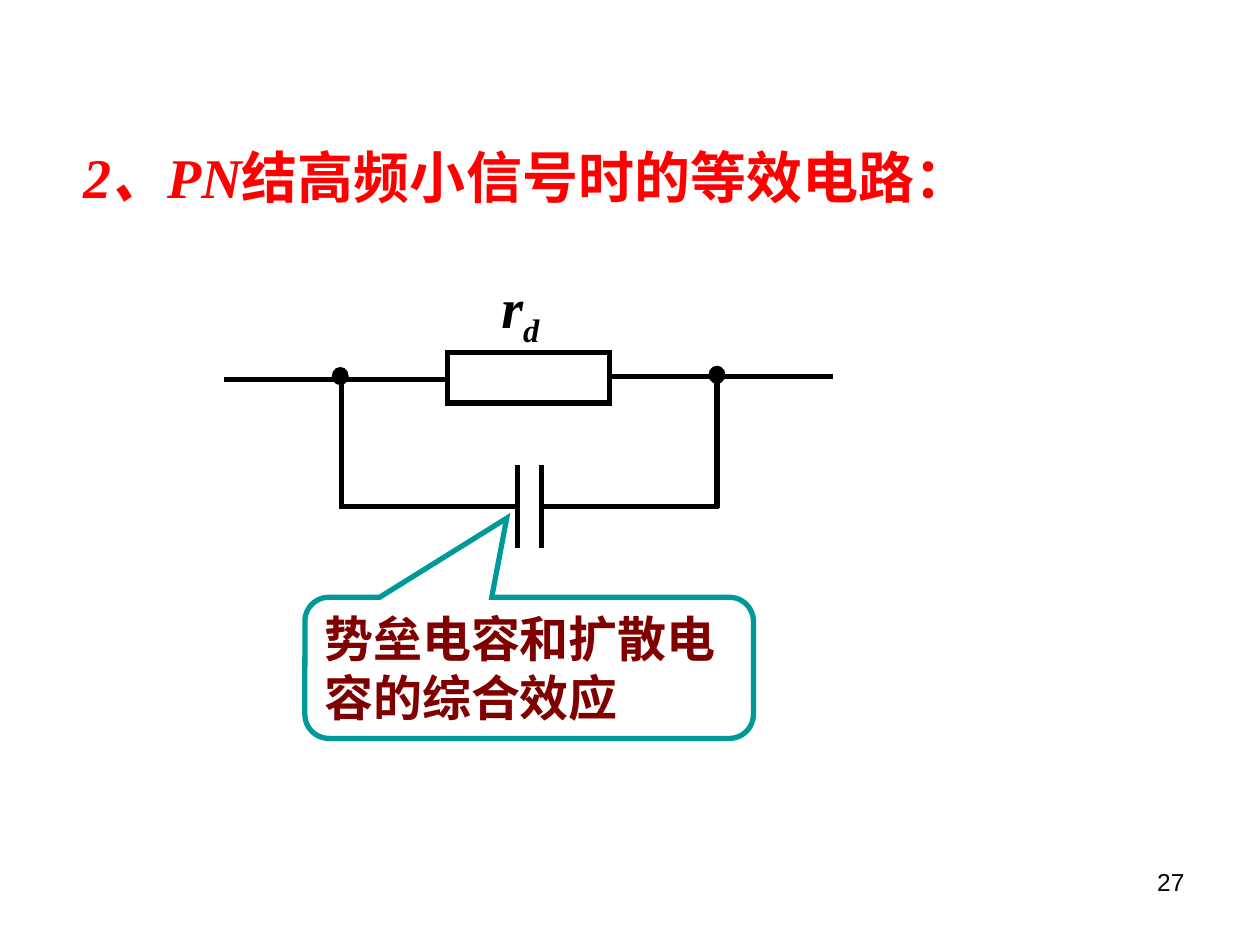
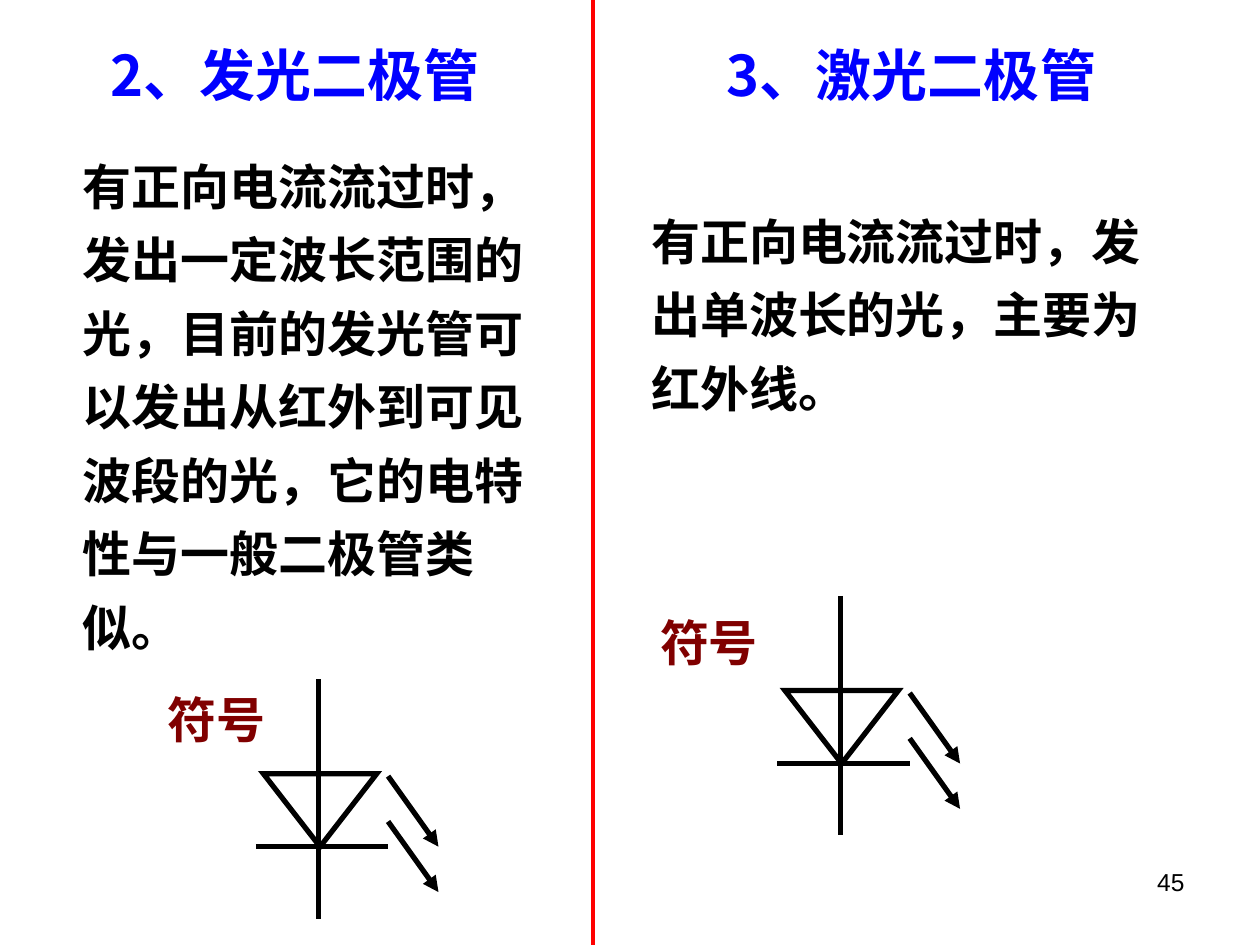
from lxml import etree
from pptx import Presentation
from pptx.dml.color import RGBColor
from pptx.enum import shapes as kinds, text as txt
from pptx.oxml.ns import qn
from pptx.util import Inches, Pt

SERIF, SANS, CJK = "Times New Roman", "Arial", "Noto Sans CJK SC"
BLACK, RED, BLUE, MAROON, TEAL = "000000", "FF0000", "0000FF", "800000", "009999"
LEFT, CENTER, RIGHT = txt.PP_ALIGN.LEFT, txt.PP_ALIGN.CENTER, txt.PP_ALIGN.RIGHT
TOP, MIDDLE = txt.MSO_ANCHOR.TOP, txt.MSO_ANCHOR.MIDDLE

CIRCUIT_TITLE = ["2、PN", "结高频小信号时的等效电路："]
CAPACITANCE_NOTE = "势垒电容和扩散电容的综合效应"
RESISTOR = (3.55, 2.8, 1.29, 0.4)
PLATES = (4.11, 4.3)
WIRES = [
    (4.84, 2.99, 6.61, 2.99), (1.78, 3.01, 3.55, 3.01),
    (2.71, 3.01, 2.71, 4.03), (5.69, 3.01, 5.69, 4.03),
    (2.69, 4.02, PLATES[0], 4.02), (PLATES[1], 4.02, 5.71, 4.02),
]
JUNCTIONS = [(2.64, 2.92), (5.63, 2.91)]

DIODES = [
    {"heading": "2、发光二极管", "heading_box": (0.06, 0.24, 4.57, 0.7),
     "body": "有正向电流流过时，发出一定波长范围的光，目前的发光管可以发出从红外到"
             "可见波段的光，它的电特性与一般二极管类似。",
     "body_box": (0.56, 1.07, 3.71, 4.19),
     "label_box": (1.23, 5.42, 1.11, 0.57), "symbol_at": (2.03, 5.39)},
    {"heading": "3、激光二极管", "heading_box": (4.95, 0.24, 4.57, 0.7),
     "body": "有正向电流流过时，发出单波长的光，主要为红外线。",
     "body_box": (5.07, 1.51, 4.41, 1.85),
     "label_box": (5.14, 4.81, 1.11, 0.57), "symbol_at": (6.17, 4.73)},
]


def color(hex_code):
    return RGBColor.from_string(hex_code)


def inches(box):
    return [Inches(value) for value in box]


def write(holder, pieces, size, hex_code, font=SERIF, bold=True,
          align=LEFT, anchor=TOP, spacing=1.0):
    """Fill a shape with one paragraph made of the given runs; return the runs."""
    frame = holder.text_frame
    frame.word_wrap = True
    frame.auto_size = txt.MSO_AUTO_SIZE.NONE
    frame.vertical_anchor = anchor
    paragraph = frame.paragraphs[0]
    paragraph.alignment = align
    paragraph.line_spacing = spacing
    paragraph._p.get_or_add_pPr().set("hangingPunct", "0")
    for piece in pieces:
        run = paragraph.add_run()
        run.text = piece
        run.font.size = Pt(size)
        run.font.bold = bold
        run.font.name = font
        run.font.color.rgb = color(hex_code)
        east_asian = etree.SubElement(run.font._element, qn("a:ea"))
        east_asian.set("typeface", CJK)
    return paragraph.runs


def add_text(parent, box, pieces, size, hex_code, **style):
    return write(parent.add_textbox(*inches(box)), pieces, size, hex_code, **style)


def add_title(slide, box, pieces, hex_code, **style):
    title = slide.shapes.title
    title.left, title.top, title.width, title.height = inches(box)
    return write(title, pieces, 32, hex_code, **style)


def add_outline(parent, kind, box, hex_code=BLACK, width=3):
    """Add an unfilled shape with sharp corners."""
    shape = parent.add_shape(kind, *inches(box))
    shape.shadow.inherit = False
    shape.fill.background()
    shape.line.color.rgb = color(hex_code)
    shape.line.width = Pt(width)
    etree.SubElement(shape.line._get_or_add_ln(), qn("a:miter")).set("lim", "800000")
    return shape


def add_line(parent, ends, hex_code=BLACK, width=3, arrow=False):
    line = parent.add_connector(kinds.MSO_CONNECTOR.STRAIGHT, *inches(ends))
    line.line.color.rgb = color(hex_code)
    line.line.width = Pt(width)
    if arrow:
        etree.SubElement(line.line._get_or_add_ln(), qn("a:tailEnd")).set("type", "triangle")
    etree.SubElement(line._element.spPr, qn("a:effectLst"))


def add_diode_symbol(slide, x, y):
    symbol = slide.shapes.add_group_shape().shapes
    add_line(symbol, (x, y + 1.33, x + 1.05, y + 1.33))
    triangle = add_outline(symbol, kinds.MSO_SHAPE.ISOSCELES_TRIANGLE,
                           (x + 0.06, y + 0.75, 0.9, 0.58))
    triangle.rotation = 180
    add_line(symbol, (x + 0.5, y, x + 0.5, y + 1.9))
    for ray_top in (y + 0.77, y + 1.13):
        add_line(symbol, (x + 1.05, ray_top, x + 1.45, ray_top + 0.56), arrow=True)


def new_slide(deck, number):
    slide = deck.slides.add_slide(deck.slide_layouts[5])
    add_text(slide.shapes, (7.17, 6.83, 2.33, 0.52), [number], 14, BLACK,
             font=SANS, bold=False, align=RIGHT)
    return slide


def build_circuit_slide(deck):
    slide = new_slide(deck, "27")
    title_start, _ = add_title(slide, (0.56, 1.08, 7.58, 0.64), CIRCUIT_TITLE, RED)
    title_start.font.italic = True

    note = add_outline(slide.shapes, kinds.MSO_SHAPE.ROUNDED_RECTANGULAR_CALLOUT,
                       (2.42, 4.74, 3.56, 1.12), TEAL)
    for index, value in enumerate((-0.05, -1.06, 0.17)):
        note.adjustments[index] = value
    write(note, [CAPACITANCE_NOTE], 28, MAROON, anchor=MIDDLE)

    circuit = slide.shapes.add_group_shape().shapes
    add_outline(circuit, kinds.MSO_SHAPE.RECTANGLE, RESISTOR)
    for wire in WIRES:
        add_line(circuit, wire)
    for x in PLATES:
        add_line(circuit, (x, 3.69, x, 4.35))
    resistance = add_text(circuit, (3.88, 2.11, 0.81, 0.71), ["r", "d"], 32, BLACK)
    for run in resistance:
        run.font.italic = True
    resistance[1].font._element.set("baseline", "-25000")
    for x, y in JUNCTIONS:
        dot = add_outline(circuit, kinds.MSO_SHAPE.OVAL, (x, y, 0.12, 0.13), width=1)
        dot.fill.solid()
        dot.fill.fore_color.rgb = color(BLACK)


def build_diodes_slide(deck):
    slide = new_slide(deck, "45")
    heading_style = {"font": CJK, "align": CENTER, "anchor": MIDDLE}
    add_line(slide.shapes, (4.71, 0, 4.71, 7.5), RED, 2.25)
    for index, diode in enumerate(DIODES):
        heading = [diode["heading"]]
        if index == 0:
            add_title(slide, diode["heading_box"], heading, BLUE, **heading_style)
        else:
            add_text(slide.shapes, diode["heading_box"], heading, 32, BLUE, **heading_style)
        add_text(slide.shapes, diode["body_box"], [diode["body"]], 28, BLACK,
                 anchor=MIDDLE, spacing=1.25)
        add_text(slide.shapes, diode["label_box"], ["符号"], 28, MAROON)
        add_diode_symbol(slide, *diode["symbol_at"])


def main():
    deck = Presentation()
    deck.slide_width, deck.slide_height = Inches(10), Inches(7.5)
    build_circuit_slide(deck)
    build_diodes_slide(deck)
    deck.save("out.pptx")


if __name__ == "__main__":
    main()
